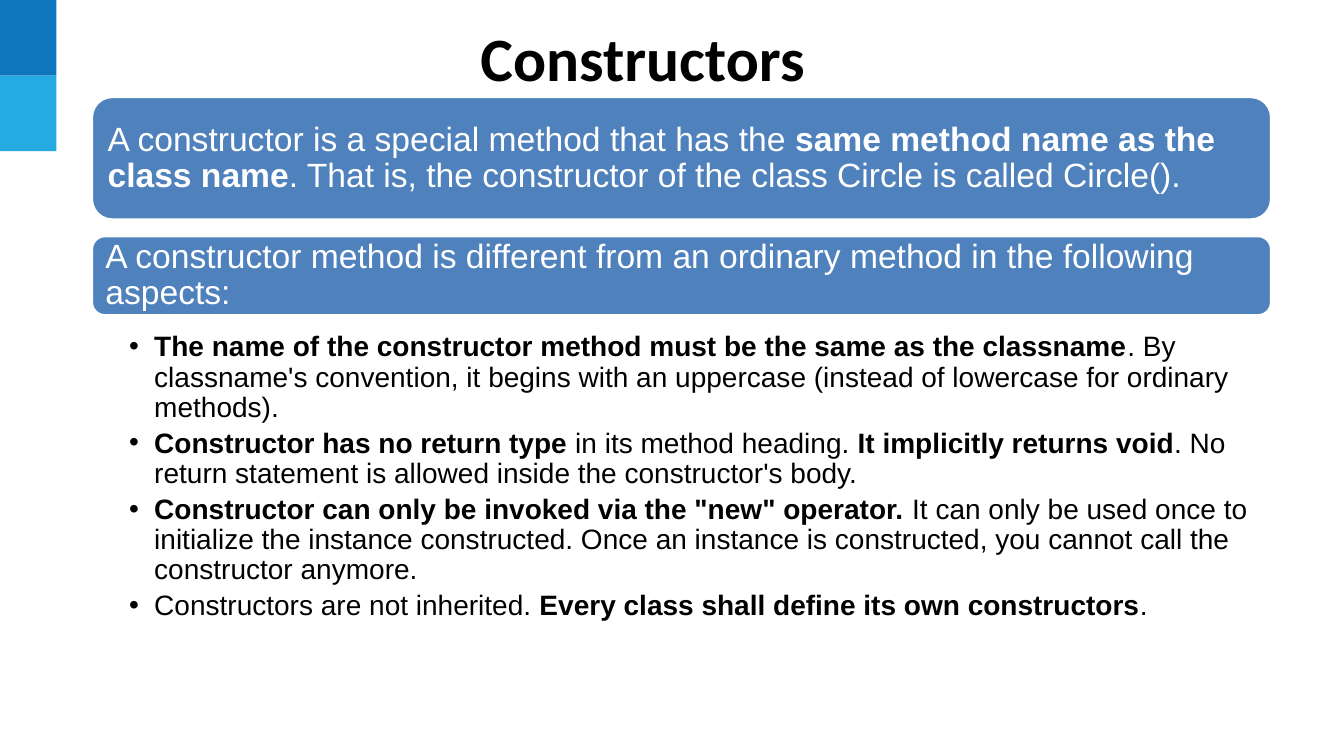
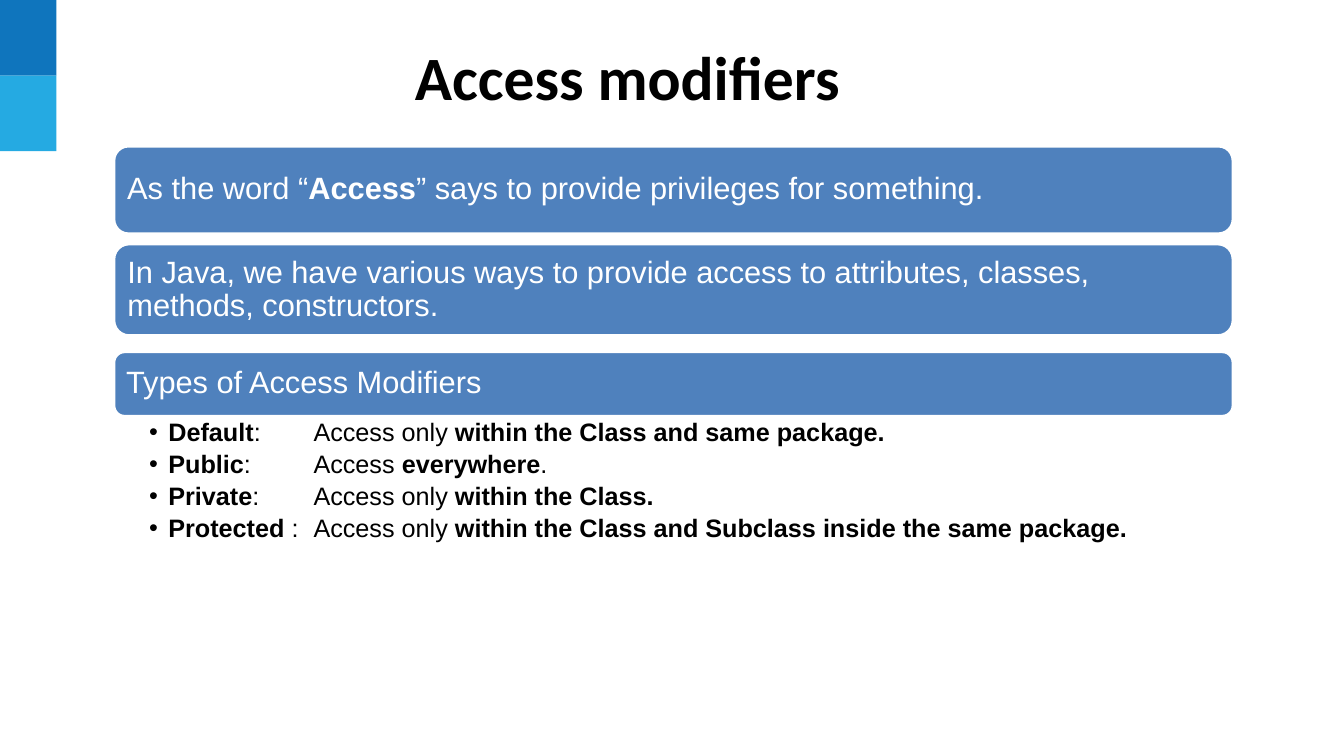
from lxml import etree
from pptx import Presentation
from pptx.dml.color import RGBColor
from pptx.enum import shapes, text
from pptx.oxml.ns import qn
from pptx.util import Inches, Pt

BLACK = RGBColor(0x00, 0x00, 0x00)
WHITE = RGBColor(0xFF, 0xFF, 0xFF)
BAR_BLUE = RGBColor(0x4F, 0x81, 0xBD)
CORNER_COLORS = (RGBColor(0x0F, 0x75, 0xBD), RGBColor(0x25, 0xAA, 0xE2))
CORNER_W, CORNER_H = 0.56, 0.75
TITLE_W = 8.75

# Text between ** marks is bold. Bars are (top, height, text); lengths in inches.
SLIDES = [
    dict(
        title="Constructors", title_at=(2, 0.23, 0.67),
        left=0.91, width=11.7, bar_size=24, bar_inset=0.1,
        bars=[
            (0.96, 1.22, "A constructor is a special method that has the **same method name "
                         "as the class name**. That is, the constructor of the class Circle "
                         "is called Circle()."),
            (2.34, 0.79, "A constructor method is different from an ordinary method in the "
                         "following aspects:"),
        ],
        list_at=(3.27, 2.9), list_size=20, list_insets=(0.37, 0.16), indent=0.25, tab=None,
        bullets=[
            "**The name of the constructor method must be the same as the classname**. By "
            "classname's convention, it begins with an uppercase (instead of lowercase for "
            "ordinary methods).",
            "**Constructor has no return type **in its method heading. **It implicitly returns "
            "void**. No return statement is allowed inside the constructor's body.",
            "**Constructor can only be invoked via the \"new\" operator. **It can only be used "
            "once to initialize the instance constructed. Once an instance is constructed, you "
            "cannot call the constructor anymore.",
            "Constructors are not inherited. **Every class shall define its own constructors**.",
        ],
    ),
    dict(
        title="Access modifiers", title_at=(1.85, 0.38, 0.75),
        left=1.13, width=11.1, bar_size=22, bar_inset=0.09,
        bars=[
            (1.45, 0.87, "As the word “**Access**” says to provide privileges for something."),
            (2.42, 0.91, "In Java, we have various ways to provide access to attributes, "
                         "classes, methods, constructors."),
            (3.49, 0.64, "Types of Access Modifiers"),
        ],
        list_at=(4.13, 1.59), list_size=18, list_insets=(0.35, 0.14), indent=0.19, tab=1.63,
        bullets=[
            "**Default**:\tAccess only **within the Class and same package.**",
            "**Public**:\tAccess **everywhere**.",
            "**Private**:\tAccess only **within the Class.**",
            "**Protected **:\tAccess only **within the Class and Subclass inside the same "
            "package.**",
        ],
    ),
]


def set_frame(sp, anchor, side_insets, edge_inset):
    tf = sp.text_frame
    tf.word_wrap = True
    tf.vertical_anchor = anchor
    tf.margin_left, tf.margin_right = (Inches(v) for v in side_insets)
    tf.margin_top = tf.margin_bottom = Inches(edge_inset)
    return tf


def write(p, marked, size, color, font="Arial"):
    """Fill a paragraph, making the parts between ** marks bold."""
    p.font.name, p.font.size, p.font.color.rgb = font, Pt(size), color
    for i, part in enumerate(marked.split("**")):
        if part:
            r = p.add_run()
            r.text = part
            r.font.bold = i % 2 == 1


def add_box(s, shape_type, at, fill):
    sp = s.shapes.add_shape(shape_type, *(Inches(v) for v in at))
    sp.shadow.inherit = False
    sp.fill.solid()
    sp.fill.fore_color.rgb = fill
    sp.line.fill.background()
    return sp


def add_corner(s):
    for i, color in enumerate(CORNER_COLORS):
        add_box(s, shapes.MSO_SHAPE.RECTANGLE, (0, i * CORNER_H, CORNER_W, CORNER_H), color)


def add_title(s, title, at):
    left, top, height = at
    sp = s.shapes.add_textbox(Inches(left), Inches(top), Inches(TITLE_W), Inches(height))
    p = set_frame(sp, text.MSO_ANCHOR.MIDDLE, (0.1, 0.1), 0.05).paragraphs[0]
    p.alignment = text.PP_ALIGN.CENTER
    write(p, f"**{title}**", 44, BLACK, "Calibri")


def add_bar(s, at, marked, size, inset):
    sp = add_box(s, shapes.MSO_SHAPE.ROUNDED_RECTANGLE, at, BAR_BLUE)
    sp.line.color.rgb = WHITE
    sp.line.width = Pt(2)
    p = set_frame(sp, text.MSO_ANCHOR.MIDDLE, (inset, inset), inset).paragraphs[0]
    p.alignment = text.PP_ALIGN.LEFT
    p.line_spacing = 0.9
    write(p, marked, size, WHITE)


def set_bullet(p, indent, tab):
    pPr = p._p.get_or_add_pPr()
    pPr.set("marL", str(Inches(indent)))
    pPr.set("indent", str(-Inches(indent)))
    marks = [etree.Element(qn("a:buFont"), typeface="Arial"),
             etree.Element(qn("a:buChar"), char="•")]
    if tab:
        tabs = etree.Element(qn("a:tabLst"))
        etree.SubElement(tabs, qn("a:tab"), pos=str(Inches(tab)), algn="l")
        marks.append(tabs)
    first_run_style = pPr.find(qn("a:defRPr"))
    for mark in marks:
        first_run_style.addprevious(mark)


def add_bullets(s, at, bullets, size, insets, indent, tab):
    sp = s.shapes.add_textbox(*(Inches(v) for v in at))
    tf = set_frame(sp, text.MSO_ANCHOR.TOP, insets, 0.03)
    for i, marked in enumerate(bullets):
        p = tf.add_paragraph() if i else tf.paragraphs[0]
        p.line_spacing = 0.9
        p.space_after = Pt(0.2 * size)
        write(p, marked, size, BLACK)
        set_bullet(p, indent, tab)


def main():
    prs = Presentation()
    prs.slide_width, prs.slide_height = Inches(13.33), Inches(7.5)
    for d in SLIDES:
        s = prs.slides.add_slide(prs.slide_layouts[6])
        add_corner(s)
        add_title(s, d["title"], d["title_at"])
        for top, height, marked in d["bars"]:
            add_bar(s, (d["left"], top, d["width"], height), marked,
                    d["bar_size"], d["bar_inset"])
        top, height = d["list_at"]
        add_bullets(s, (d["left"], top, d["width"], height), d["bullets"],
                    d["list_size"], d["list_insets"], d["indent"], d["tab"])
    prs.save("out.pptx")


if __name__ == "__main__":
    main()
